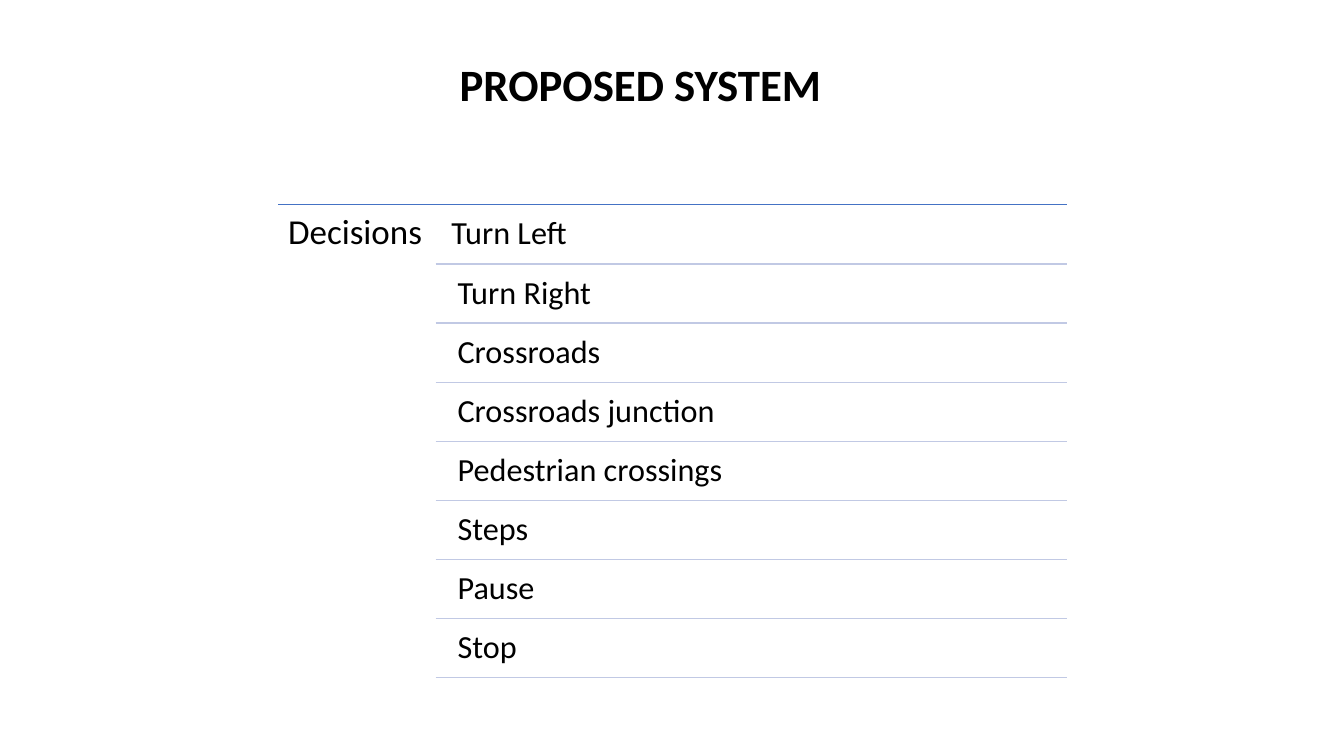
from dataclasses import dataclass

from lxml.etree import SubElement
from pptx import Presentation
from pptx.dml.color import RGBColor
from pptx.enum.shapes import MSO_CONNECTOR
from pptx.enum.text import MSO_AUTO_SIZE
from pptx.oxml.ns import qn
from pptx.slide import Slide
from pptx.text.text import TextFrame
from pptx.util import Inches, Pt

FONT = "Calibri"
BLACK, BLUE, PALE_BLUE = "000000", "4472C4", "C1C9E4"
LIST_LEFT, DIVIDER_LEFT, LIST_RIGHT = 2.76, 4.32, 10.58
FIRST_DIVIDER, ROW_PITCH = 2.62, 0.586
DECISIONS = ["Turn Left", "Turn Right", "Crossroads", "Crossroads junction",
             "Pedestrian crossings", "Steps", "Pause", "Stop"]


@dataclass
class Label:
    text: str
    left: float
    top: float
    width: float
    height: float
    size: float
    bold: bool = False


@dataclass
class Rule:
    left: float
    top: float
    color: str


def rgb(color: str) -> RGBColor:
    return RGBColor.from_string(color)


def add_label(s: Slide, label: Label) -> TextFrame:
    box = s.shapes.add_textbox(Inches(label.left), Inches(label.top),
                               Inches(label.width), Inches(label.height))
    tf = box.text_frame
    tf.word_wrap = True
    p = tf.paragraphs[0]
    p.text = label.text
    p.font.name = FONT
    p.font.size = Pt(label.size)
    p.font.bold = label.bold
    p.font.color.rgb = rgb(BLACK)
    return tf


def add_list_label(s: Slide, label: Label) -> None:
    tf = add_label(s, label)
    tf.margin_left = tf.margin_right = Inches(0.1)
    tf.margin_top = tf.margin_bottom = Inches(0.1)
    tf.paragraphs[0].line_spacing = 0.9


def add_rule(s: Slide, rule: Rule) -> None:
    line = s.shapes.add_connector(
        MSO_CONNECTOR.STRAIGHT, Inches(rule.left), Inches(rule.top),
        Inches(LIST_RIGHT), Inches(rule.top))
    line.line.color.rgb = rgb(rule.color)
    line.line.width = Pt(1)
    SubElement(line._element.spPr, qn("a:effectLst"))


def main() -> None:
    prs = Presentation()
    prs.slide_width, prs.slide_height = Inches(13.33), Inches(7.5)
    s = prs.slides.add_slide(prs.slide_layouts[6])

    # Heading of the list
    add_rule(s, Rule(LIST_LEFT, 2.03, BLUE))
    add_list_label(s, Label("Decisions", LIST_LEFT, 2.03, 1.56, 4.72, 25))

    # Decisions, each above its divider; the first sits slightly further left
    for i, decision in enumerate(DECISIONS):
        divider = FIRST_DIVIDER + i * ROW_PITCH
        left, top = (4.44, divider - 0.56) if i else (4.38, 2.05)
        add_list_label(s, Label(decision, left, top, 6.14, 0.56, 23))
        add_rule(s, Rule(DIVIDER_LEFT, divider, PALE_BLUE))

    # Title
    tf = add_label(s, Label("PROPOSED SYSTEM", 4.46, 0.51, 5.21, 0.64, 32, True))
    tf.auto_size = MSO_AUTO_SIZE.SHAPE_TO_FIT_TEXT

    prs.save("out.pptx")


if __name__ == "__main__":
    main()
